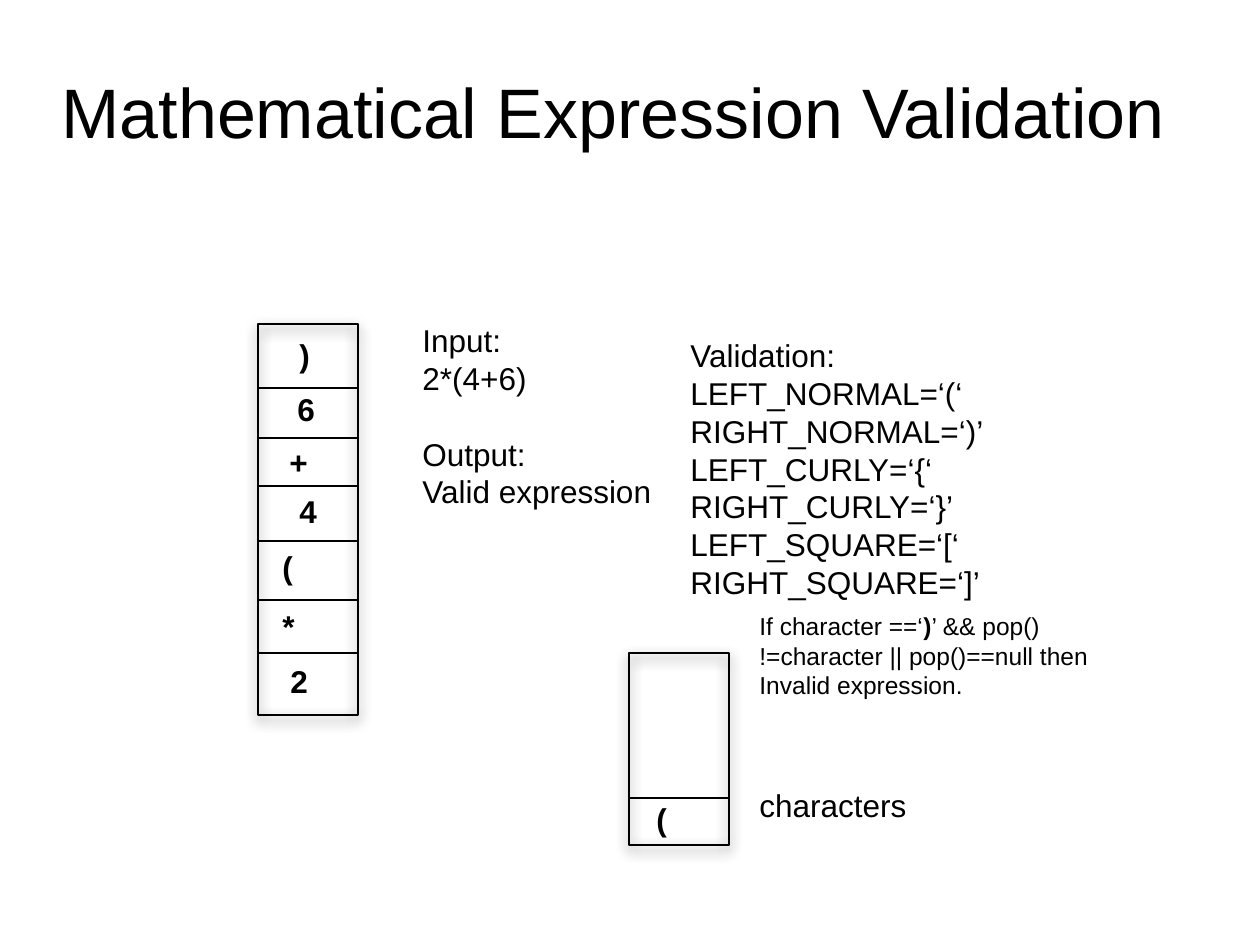
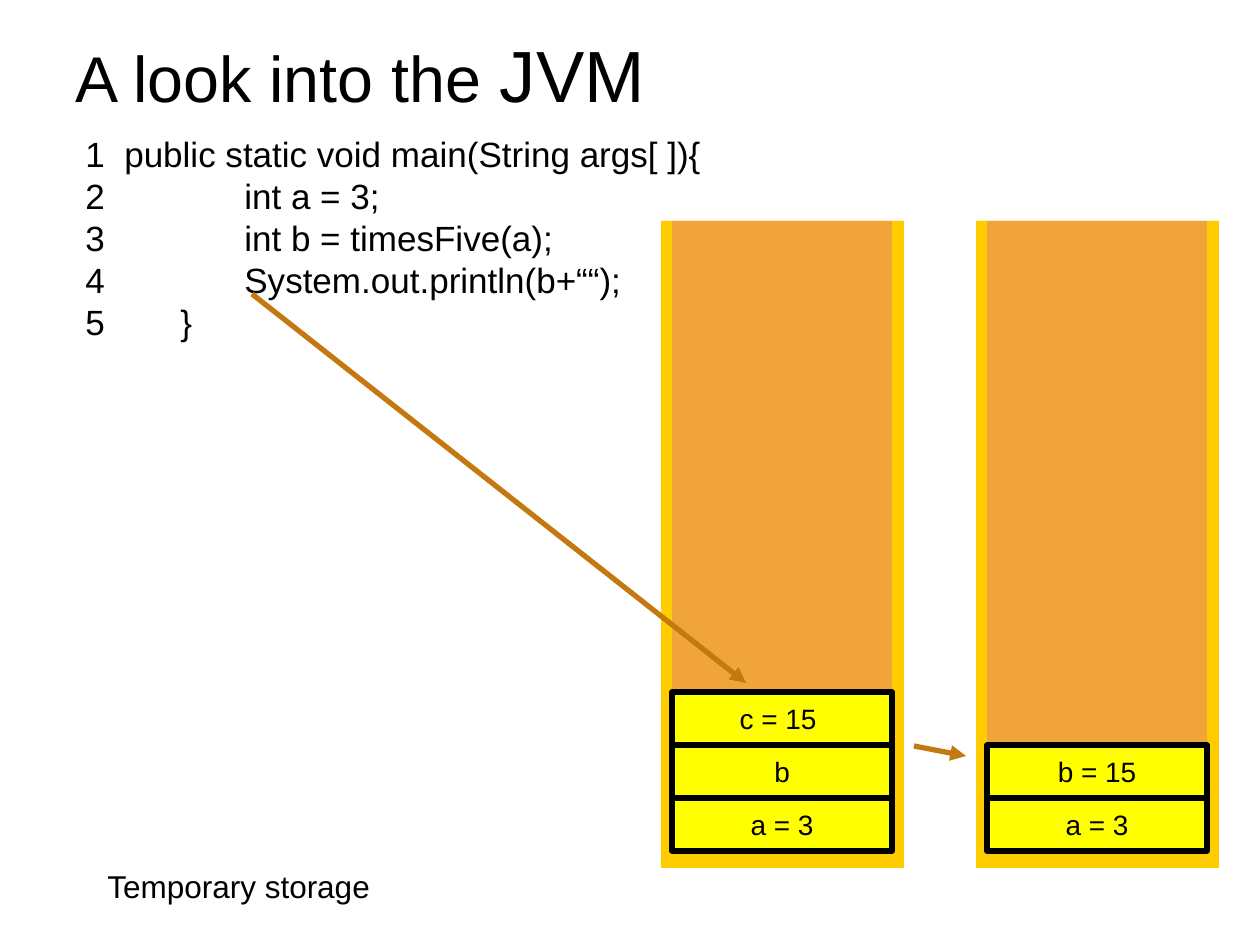
"""Build two slides on stacks: expression checking and a look into the JVM."""
import pptx
import pptx.util
import pptx.dml.color
import pptx.enum.shapes
import pptx.enum.text
import pptx.oxml
import pptx.oxml.ns
import lxml.etree

RGB = pptx.dml.color.RGBColor
BLACK = RGB(0, 0, 0)
GOLD = RGB(0xFF, 0xCC, 0x00)
AMBER = RGB(0xF0, 0xA4, 0x3A)
YELLOW = RGB(0xFF, 0xFF, 0x00)
BROWN = RGB(0xC4, 0x78, 0x10)
FONT = "Arial"
ALIGN = pptx.enum.text.PP_ALIGN
MIDDLE = pptx.enum.text.MSO_ANCHOR.MIDDLE
TOP = pptx.enum.text.MSO_ANCHOR.TOP
RECT = pptx.enum.shapes.MSO_SHAPE.RECTANGLE
STRAIGHT = pptx.enum.shapes.MSO_CONNECTOR.STRAIGHT
SCALE = 914400 / 126

TOWERS = [
    {"box": (258, 324, 100, 391),
     "rules": [388, 438, 486, 541, 600, 653],
     "marks": [(")", 287, 330), ("6", 285, 384), ("+", 277, 437), ("4", 287, 486),
               ("(", 270, 542), ("*", 270, 601), ("2", 278, 656)]},
    {"box": (629, 653, 100, 192), "rules": [798], "marks": [("(", 644, 794)]},
]
RESULT = ["Input:", "2*(4+6)", "Output:", "Valid expression"]
CHECKS = ["Validation:", "LEFT_NORMAL=‘(‘", "RIGHT_NORMAL=‘)’", "LEFT_CURLY=‘{‘",
          "RIGHT_CURLY=‘}’", "LEFT_SQUARE=‘[‘", "RIGHT_SQUARE=‘]’"]
TEST = [["If character ==‘", ")", "’ && pop()"],
        "!=character || pop()==null then", "Invalid expression."]
CODE = ["1  public static void main(String args[ ]){", "2\t\tint a = 3;",
        "3\t\tint b = timesFive(a);", "4\t\tSystem.out.println(b+““);", "5\t}"]
TABS = [95, 159]
STACKS = [(661, ["a = 3", "b", "c = 15 "]), (976, ["a = 3", "b = 15"])]
ARROWS = [(252, 294, 746, 683), (914, 746, 966, 756)]
CELL, FLOOR = 53, 851


def px(*nums):
    return [pptx.util.Emu(round(n * SCALE)) for n in nums]


def write(frame, lines, size, bold=False, align=ALIGN.LEFT, anchor=TOP):
    frame.word_wrap = True
    frame.auto_size = pptx.enum.text.MSO_AUTO_SIZE.NONE
    frame.vertical_anchor = anchor
    for i, line in enumerate(lines):
        para = frame.paragraphs[0] if i == 0 else frame.add_paragraph()
        parts = [line] if isinstance(line, str) else line
        para.text = parts[0]
        for part in parts[1:]:
            para.add_run().text = part
        para.alignment = align
        for run in para.runs:
            run.font.name = FONT
            run.font.size = pptx.util.Pt(size)
            run.font.bold = bold
            run.font.color.rgb = BLACK
    return frame.paragraphs


def note(slide, box, lines, size=18, bold=False):
    return write(slide.shapes.add_textbox(*px(*box)).text_frame, lines, size, bold)


def head(deck, box, line, size):
    slide = deck.slides.add_slide(deck.slide_layouts[5])
    title = slide.shapes.title
    title.left, title.top, title.width, title.height = px(*box)
    return slide, write(title.text_frame, [line], size, anchor=MIDDLE)[0]


def rect(slide, box, fill=None, width=0):
    shape = slide.shapes.add_shape(RECT, *px(*box))
    shape.shadow.inherit = False
    if fill is None:
        shape.fill.background()
    else:
        shape.fill.solid()
        shape.fill.fore_color.rgb = fill
    if width:
        shape.line.color.rgb = BLACK
        shape.line.width = pptx.util.Pt(width)
    else:
        shape.line.fill.background()
    return shape


def shade(shape):
    glow = shape._element.spPr.find(pptx.oxml.ns.qn("a:effectLst"))
    glow.append(pptx.oxml.parse_xml(
        f'<a:outerShdw {pptx.oxml.ns.nsdecls("a")} blurRad="101600" dist="38100" '
        'dir="5400000" rotWithShape="0"><a:srgbClr val="000000">'
        '<a:alpha val="75000"/></a:srgbClr></a:outerShdw>'))


def link(slide, ends, color, width, arrow=False):
    line = slide.shapes.add_connector(STRAIGHT, *px(*ends))
    line.line.color.rgb = color
    line.line.width = pptx.util.Pt(width)
    if arrow:
        lxml.etree.SubElement(line.line._get_or_add_ln(),
                              pptx.oxml.ns.qn("a:tailEnd"), type="triangle")
    lxml.etree.SubElement(line._element.spPr, pptx.oxml.ns.qn("a:effectLst"))


def check(deck):
    slide, _ = head(deck, (49, 50, 1159, 120), "Mathematical Expression Validation", 40)
    for tower in TOWERS:
        left, _, width, _ = tower["box"]
        shade(rect(slide, tower["box"], width=1))
        for y in tower["rules"]:
            link(slide, (left, y, left + width, y), BLACK, 1.5)
        for mark, x, y in tower["marks"]:
            note(slide, (x, y, 60, 50), [mark], bold=True)
    paras = note(slide, (410, 315, 268, 204), RESULT)
    paras[2].space_before = pptx.util.Pt(21.6)
    note(slide, (678, 330, 323, 280), CHECKS)
    note(slide, (747, 780, 193, 50), ["characters"])
    paras = note(slide, (747, 605, 485, 131), TEST, 14)
    paras[0].runs[1].font.bold = True


def trace(deck):
    slide, para = head(deck, (63, 21, 1176, 105), ["A look into the ", "JVM"], 36.9)
    para.runs[1].font.size = pptx.util.Pt(41.4)
    for para in note(slide, (73, 126, 756, 378), CODE, 20):
        stops = lxml.etree.SubElement(para._p.get_or_add_pPr(), pptx.oxml.ns.qn("a:tabLst"))
        for pos in px(*TABS):
            lxml.etree.SubElement(stops, pptx.oxml.ns.qn("a:tab"), pos=str(int(pos)), algn="l")
    for left, cells in STACKS:
        rect(slide, (left, 221, 243, 647), GOLD)
        rect(slide, (left + 11, 221, 220, FLOOR - 221), AMBER)
        for i, cell in enumerate(cells):
            box = rect(slide, (left + 11, FLOOR - CELL * (i + 1), 220, CELL), YELLOW, 3)
            write(box.text_frame, [cell], 16, align=ALIGN.CENTER, anchor=MIDDLE)
    note(slide, (95, 861, 380, 63), ["Temporary storage"])
    for ends in ARROWS:
        link(slide, ends, BROWN, 3, True)


def main():
    deck = pptx.Presentation()
    deck.slide_width, deck.slide_height = px(1260, 945)
    check(deck)
    trace(deck)
    deck.save("out.pptx")


if __name__ == "__main__":
    main()
